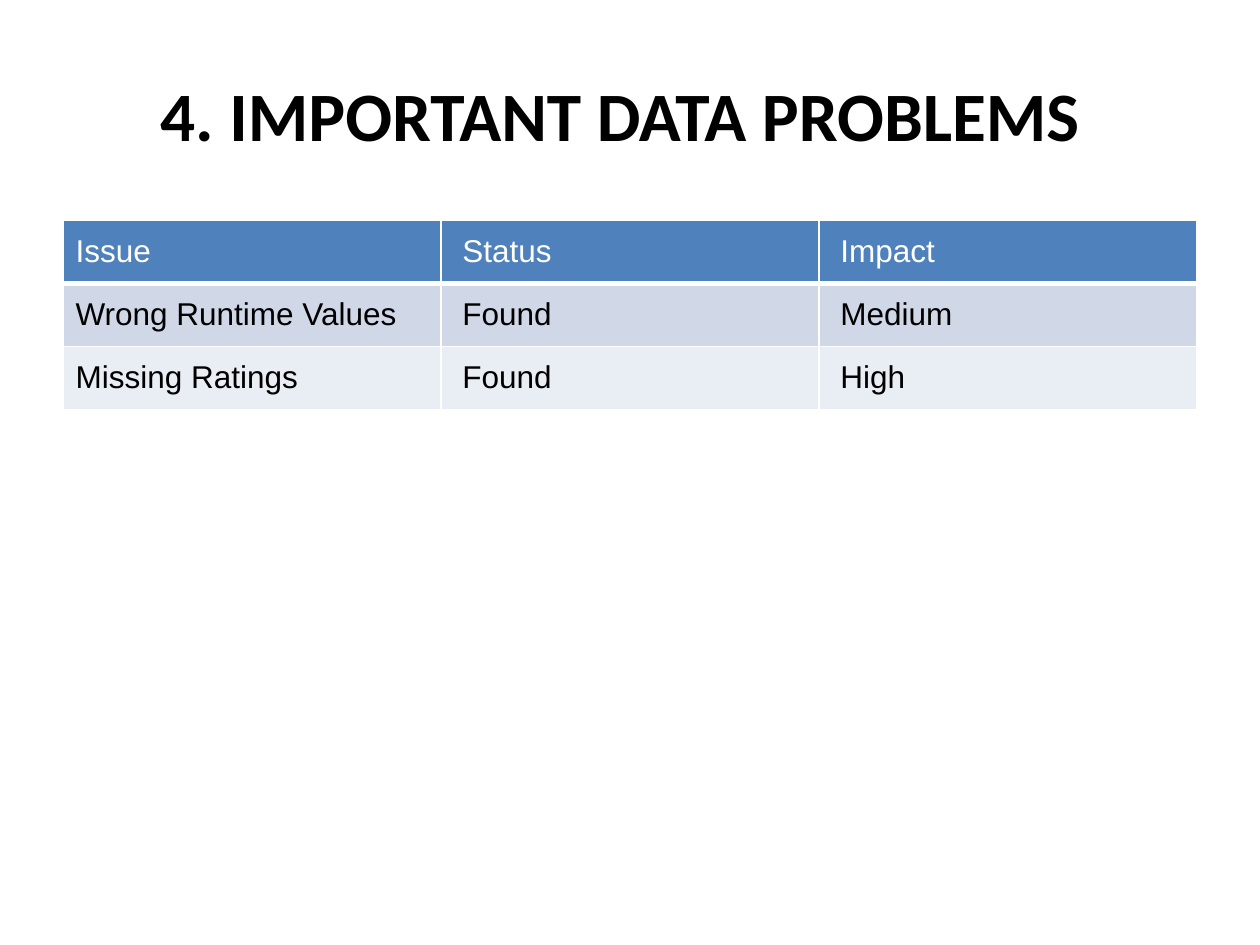
from lxml.etree import SubElement
from pptx import Presentation
from pptx.dml.color import RGBColor
from pptx.enum.text import MSO_ANCHOR, PP_ALIGN
from pptx.oxml.ns import qn
from pptx.util import Inches, Pt

WIDTH, HEIGHT = 10, 7.5
ISSUES = [
    ["Issue", "Status", "Impact"],
    ["Wrong Runtime Values", "Found", "Medium"],
    ["Missing Ratings", "Found", "High"],
]


def color(hex_value):
    return RGBColor.from_string(hex_value)


class IssueSlide:
    title_font, table_font = "Calibri", "Arial"
    ink, paper = "000000", "FFFFFF"
    header_fill, band_fills = "4F81BD", ("D0D8E8", "E9EDF4")
    row_height = 0.49
    edge_inset, inset, pad = 0.1, 0.17, 0.1

    def __init__(self, deck):
        self.slide = deck.slides.add_slide(deck.slide_layouts[6])

    def place(self, x, y, w, h):
        """Turn shares of the slide's size into lengths."""
        return (Inches(x * WIDTH), Inches(y * HEIGHT),
                Inches(w * WIDTH), Inches(h * HEIGHT))

    def style(self, paragraph, font, size, ink, bold=False):
        paragraph.font.name = font
        paragraph.font.size = Pt(size)
        paragraph.font.bold = bold
        paragraph.font.color.rgb = color(ink)

    def title(self, text, *box):
        frame = self.slide.shapes.add_textbox(*self.place(*box)).text_frame
        frame.word_wrap = True
        frame.vertical_anchor = MSO_ANCHOR.MIDDLE
        heading = frame.paragraphs[0]
        heading.text = text
        heading.alignment = PP_ALIGN.CENTER
        self.style(heading, self.title_font, 39.6, self.ink, bold=True)

    def table(self, rows, x, y, w):
        h = len(rows) * self.row_height / HEIGHT
        grid = self.slide.shapes.add_table(
            len(rows), len(rows[0]), *self.place(x, y, w, h)).table
        for r, row in enumerate(rows):
            for c, text in enumerate(row):
                self.cell(grid.cell(r, c), text, r, c)

    def cell(self, cell, text, r, c):
        header = r == 0
        cell.text = text
        cell.vertical_anchor = MSO_ANCHOR.MIDDLE
        cell.margin_left = Inches(self.inset if c else self.edge_inset)
        cell.margin_right = Inches(self.inset)
        cell.margin_top = cell.margin_bottom = Inches(self.pad)
        self.style(cell.text_frame.paragraphs[0], self.table_font, 18,
                   self.paper if header else self.ink)
        # Borders come before the fill; a thick rule parts header and body
        self.border(cell, "L", 1)
        self.border(cell, "R", 1)
        self.border(cell, "T", 3 if r == 1 else 1)
        self.border(cell, "B", 3 if header else 1)
        cell.fill.solid()
        cell.fill.fore_color.rgb = color(
            self.header_fill if header else self.band_fills[(r - 1) % 2])

    def border(self, cell, side, points):
        properties = cell._tc.get_or_add_tcPr()
        line = SubElement(properties, qn(f"a:ln{side}"), w=str(Pt(points)))
        fill = SubElement(line, qn("a:solidFill"))
        SubElement(fill, qn("a:srgbClr"), val=self.paper)


def main():
    deck = Presentation()
    deck.slide_width, deck.slide_height = Inches(WIDTH), Inches(HEIGHT)

    problems = IssueSlide(deck)
    # Heading
    problems.title("4. IMPORTANT DATA PROBLEMS", 0.042, 0.037, 0.9, 0.167)
    # Issues with status and impact
    problems.table(ISSUES, 0.05, 0.233, 0.9)

    deck.save("out.pptx")


if __name__ == "__main__":
    main()
